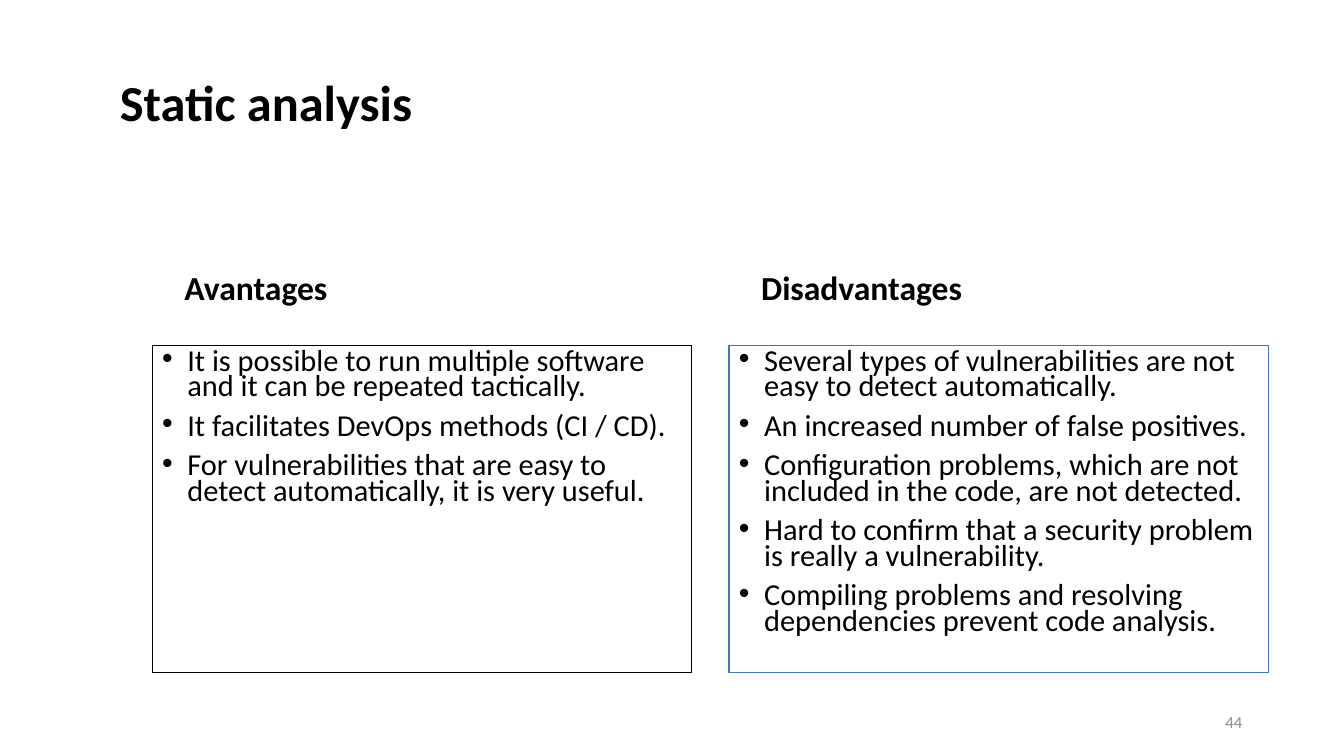
import pptx
import pptx.util
import pptx.dml.color
import pptx.enum.shapes
import pptx.enum.text
import lxml.etree

Inches = pptx.util.Inches
Pt = pptx.util.Pt
RGBColor = pptx.dml.color.RGBColor
Anchor = pptx.enum.text.MSO_ANCHOR
Align = pptx.enum.text.PP_ALIGN

BLACK = RGBColor(0x00, 0x00, 0x00)
WHITE = RGBColor(0xFF, 0xFF, 0xFF)
BLUE = RGBColor(0x44, 0x72, 0xC4)
GRAY = RGBColor(0x8C, 0x8C, 0x8C)

TITLE = {"size": Pt(36), "bold": True}
HEAD = {"size": Pt(24), "bold": True}
BODY = {"size": Pt(21.7)}
NUMBER = {"size": Pt(12)}

PROS = [
    "It is possible to run multiple software and it can be repeated tactically.",
    "It facilitates DevOps methods (CI / CD).",
    "For vulnerabilities that are easy to detect automatically, it is very useful.",
]
CONS = [
    "Several types of vulnerabilities are not easy to detect automatically.",
    "An increased number of false positives.",
    "Configuration problems, which are not included in the code, are not detected.",
    "Hard to confirm that a security problem is really a vulnerability.",
    "Compiling problems and resolving dependencies prevent code analysis.",
]


def style(item, values):
    for name, value in values.items():
        setattr(item, name, value)


def paint(para, look, color):
    style(para.font, {"name": "Calibri", **look})
    para.font.color.rgb = color


def add_text(slide, words, place, look, color=BLACK, anchor=Anchor.TOP, align=Align.LEFT):
    box = slide.shapes.add_textbox(*map(Inches, place))
    style(box.text_frame, {"word_wrap": True, "vertical_anchor": anchor})
    para = box.text_frame.paragraphs[0]
    style(para, {"text": words, "alignment": align})
    paint(para, look, color)


def add_bullet(para):
    props = para._p.get_or_add_pPr()
    props.set("marL", str(Inches(0.25)))
    props.set("indent", str(Inches(-0.25)))
    space = pptx.oxml.ns.qn("a:buFont")
    lxml.etree.SubElement(props, space, typeface="Arial")
    lxml.etree.SubElement(props, pptx.oxml.ns.qn("a:buChar"), char="•")


def add_list(slide, items, place, edge):
    kind = pptx.enum.shapes.MSO_SHAPE.RECTANGLE
    panel = slide.shapes.add_shape(kind, *map(Inches, place))
    panel.shadow.inherit = False
    panel.fill.solid()
    panel.fill.fore_color.rgb = WHITE
    panel.line.color.rgb = edge
    panel.line.width = Pt(1)
    frame = panel.text_frame
    style(frame, {"word_wrap": True, "vertical_anchor": Anchor.TOP})
    for index, item in enumerate(items):
        para = frame.add_paragraph() if index else frame.paragraphs[0]
        add_bullet(para)
        style(para, {
            "text": item,
            "alignment": Align.LEFT,
            "line_spacing": 0.7,
            "space_before": Pt(10 if index else 0),
        })
        paint(para, BODY, BLACK)


def add_column(slide, left, head, items, edge):
    add_text(slide, head, (left + 0.22, 2.47, 5.05, 0.63), HEAD, anchor=Anchor.BOTTOM)
    add_list(slide, items, (left, 3.43, 5.35, 3.24), edge)


def main():
    deck = pptx.Presentation()
    style(deck, {"slide_width": Inches(13.33), "slide_height": Inches(7.5)})
    slide = deck.slides.add_slide(deck.slide_layouts[6])
    add_text(slide, "Static analysis", (1.09, 0.66, 10.78, 1.4), TITLE)
    add_column(slide, 1.51, "Avantages", PROS, BLACK)
    add_column(slide, 7.23, "Disadvantages", CONS, BLUE)
    add_text(slide, "44", (9.42, 6.96, 3, 0.4), NUMBER, GRAY, Anchor.MIDDLE, Align.RIGHT)
    deck.save("out.pptx")


if __name__ == "__main__":
    main()
